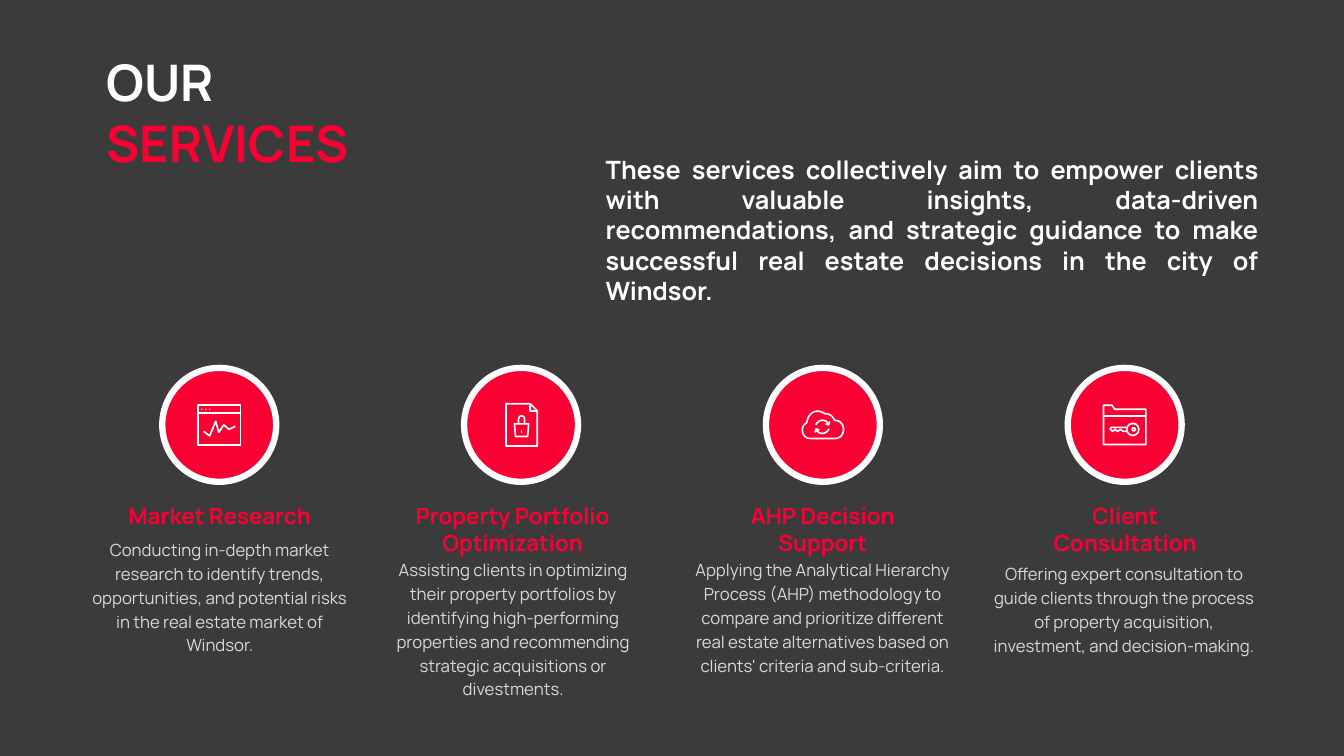
from pptx import Presentation
from pptx.dml.color import RGBColor
from pptx.enum.shapes import MSO_CONNECTOR, MSO_SHAPE
from pptx.enum.text import MSO_AUTO_SIZE, PP_ALIGN
from pptx.oxml.ns import qn
from pptx.util import Inches, Pt
from lxml import etree

DARK = RGBColor(0x3B, 0x3B, 0x3B)
RED = RGBColor(0xFA, 0x01, 0x33)
WHITE = RGBColor(0xFF, 0xFF, 0xFF)
GREY = RGBColor(0xD9, 0xD9, 0xD9)
FONT = "Manrope"
LEFT, CENTER, JUSTIFY = PP_ALIGN.LEFT, PP_ALIGN.CENTER, PP_ALIGN.JUSTIFY
FIT = MSO_AUTO_SIZE.SHAPE_TO_FIT_TEXT
OVAL = MSO_SHAPE.OVAL
STRAIGHT = MSO_CONNECTOR.STRAIGHT

DISC = 1.13
DISC_TOP = 3.65
DISC_LEFT = 1.61
STEP = 8.98 / 3
STROKE = 1.2

INTRO = (
    "These services collectively aim to empower clients with valuable insights, "
    "data-driven recommendations, and strategic guidance to make successful real "
    "estate decisions in the city of Windsor."
)

# heading, its left and width, body, its left and top
CARDS = [
    ("Market Research", 1.06, 2.24,
     "Conducting in-depth market research to identify trends, opportunities, "
     "and potential risks in the real estate market of Windsor.", 0.76, 5.27),
    ("Property Portfolio Optimization", 3.97, 2.23,
     "Assisting clients in optimizing their property portfolios by identifying "
     "high-performing properties and recommending strategic acquisitions or "
     "divestments.", 3.67, 5.47),
    ("AHP Decision Support", 7.2, 1.92,
     "Applying the Analytical Hierarchy Process (AHP) methodology to compare and "
     "prioritize different real estate alternatives based on clients' criteria "
     "and sub-criteria.", 6.74, 5.47),
    ("Client Consultation", 10.2, 1.92,
     "Offering expert consultation to guide clients through the process of "
     "property acquisition, investment, and decision-making.", 9.73, 5.51),
]


def add_text(slide, lines, left, top, width, height, size=12, colors=(WHITE,),
             bold=False, align=LEFT, pitch=None):
    """Add a text box with one paragraph, and one colour, for each line."""
    box = slide.shapes.add_textbox(
        Inches(left), Inches(top), Inches(width), Inches(height))
    frame = box.text_frame
    frame.word_wrap = True
    frame.auto_size = FIT
    frame.text = "\n".join(lines)
    for para, color in zip(frame.paragraphs, colors):
        para.alignment = align
        if pitch:
            para.line_spacing = Pt(pitch)
        font = para.font
        font.name, font.size, font.bold = FONT, Pt(size), bold
        font.color.rgb = color


def add_disc(shapes, x, y, size, fill=None, weight=STROKE):
    """Add a white-edged circle centred on x, y."""
    disc = shapes.add_shape(OVAL, Inches(x - size / 2), Inches(y - size / 2),
                            Inches(size), Inches(size))
    disc.shadow.inherit = False
    if fill is None:
        disc.fill.background()
    else:
        disc.fill.solid()
        disc.fill.fore_color.rgb = fill
    disc.line.color.rgb = WHITE
    disc.line.width = Pt(weight)


def bend(start, *arcs):
    """Return points along joined cubic curves, each given by three points."""
    points = [start]
    for b, c, d in arcs:
        a = points[-1]
        for i in range(1, 9):
            t = i / 8
            u = 1 - t
            points.append(tuple(
                u**3 * p + 3 * u * u * t * q + 3 * u * t * t * r + t**3 * s
                for p, q, r, s in zip(a, b, c, d)))
    return points


class Icon:
    """Line art in hundredths of an inch from the centre of a disc."""

    def __init__(self, slide, x, y):
        self.shapes = slide.shapes.add_group_shape().shapes
        self.x, self.y = x, y

    def spot(self, point):
        return Inches(self.x + point[0] / 100), Inches(self.y + point[1] / 100)

    def trace(self, points, close=False):
        spots = [self.spot(p) for p in points]
        pen = self.shapes.build_freeform(*spots[0])
        pen.add_line_segments(spots[1:], close=close)
        form = pen.convert_to_shape()
        form.shadow.inherit = False
        form.fill.background()
        form.line.color.rgb = WHITE
        form.line.width = Pt(STROKE)

    def rule(self, start, end):
        line = self.shapes.add_connector(
            STRAIGHT, *self.spot(start), *self.spot(end))
        line.line.color.rgb = WHITE
        line.line.width = Pt(STROKE)
        etree.SubElement(line._element.spPr, qn("a:effectLst"))

    def ring(self, x, y, size, **style):
        add_disc(self.shapes, self.x + x / 100, self.y + y / 100,
                 size / 100, **style)


def draw_chart(icon):
    icon.trace([(-21, -20), (21, -20), (21, 20), (-21, 20)], close=True)
    icon.rule((-21, -12), (21, -12))
    for x in (-17.5, -13.5, -9.5):
        icon.ring(x, -15.5, 1, fill=WHITE, weight=0.25)
    icon.trace([(-15.5, 6.5), (-9.5, 11), (-3.5, -3.5), (-0.5, 7.5),
                (4.5, 0), (9.5, 4.5), (16, 1.5)])


def draw_lock(icon):
    icon.trace([(-15, -21), (9, -21), (16, -14), (16, 21), (-15, 21)], close=True)
    icon.trace([(9, -21), (9, -13.5), (16, -13.5)])
    icon.trace([(-6.5, -1), (7.5, -1), (6.5, 11.5), (-5.5, 11.5)], close=True)
    arch = bend((-2.5, -5.5), ((-2.5, -10), (3.5, -10), (3.5, -5.5)))
    icon.trace([(-2.5, -1)] + arch + [(3.5, -1)])
    icon.rule((0.5, 5.5), (0.5, 8))


def draw_cloud(icon):
    icon.trace(bend(
        (-12.5, 13.5),
        ((-16, 13.5), (-19, 11.5), (-20, 8)),
        ((-21, 4), (-20, 0), (-16, -2)),
        ((-15, -9), (-11, -13.5), (-5.5, -13.5)),
        ((-3, -13.5), (0, -12.5), (2, -11)),
        ((6, -11.5), (10, -8.5), (11.5, -4.5)),
        ((17, -4.5), (20.5, -0.5), (20.5, 4.5)),
        ((20.5, 9.5), (17, 13.5), (12.5, 13.5))), close=True)
    sweep = bend((-7, 0), ((-5.5, -3), (-3, -4.5), (-0.5, -4.5)),
                 ((2, -4.5), (4, -3.5), (5.5, -1)))
    tip = [(2.5, -1), (5.7, 0), (6.7, -3.5)]
    for part in (sweep, tip):
        icon.trace(part)
        icon.trace([(-1 - x, 4 - y) for x, y in part])


def draw_key(icon):
    icon.trace([(-21, -19.5), (-12.5, -19.5), (-10, -15.5), (21, -15.5),
                (21, 19.5), (-21, 19.5)], close=True)
    icon.rule((-21, -8.5), (21, -8.5))
    icon.ring(8, 4.5, 12)
    icon.ring(9, 4.5, 3)
    icon.trace([(2.5, 2.5), (-13, 2.5), (-14.5, 4), (-12, 6.5), (-9.5, 4.5),
                (-7, 6.5), (-4, 4.5), (-1.5, 6.5), (2.5, 6.5)])


def main():
    deck = Presentation()
    deck.slide_width, deck.slide_height = Inches(13.33), Inches(7.5)
    slide = deck.slides.add_slide(deck.slide_layouts[6])
    slide.background.fill.solid()
    slide.background.fill.fore_color.rgb = DARK

    add_text(slide, ["OUR", "SERVICES"], 0.96, 0.46, 2.99, 1.31,
             size=36, colors=(WHITE, RED), bold=True)
    add_text(slide, [INTRO], 5.91, 1.48, 6.67, 1.62,
             size=18, bold=True, align=JUSTIFY)

    draws = (draw_chart, draw_lock, draw_cloud, draw_key)
    for i, (card, draw) in enumerate(zip(CARDS, draws)):
        head, head_x, width, body, body_x, body_y = card
        x = DISC_LEFT + DISC / 2 + i * STEP
        y = DISC_TOP + DISC / 2
        add_disc(slide.shapes, x, y, DISC, fill=RED, weight=4.5)
        draw(Icon(slide, x, y))
        add_text(slide, [head], head_x, 4.93, width, 0.64,
                 size=16, colors=(RED,), bold=True, align=CENTER)
        add_text(slide, [body], body_x, body_y, 2.84, 1.52,
                 colors=(GREY,), align=CENTER, pitch=17)
    deck.save("out.pptx")


if __name__ == "__main__":
    main()
